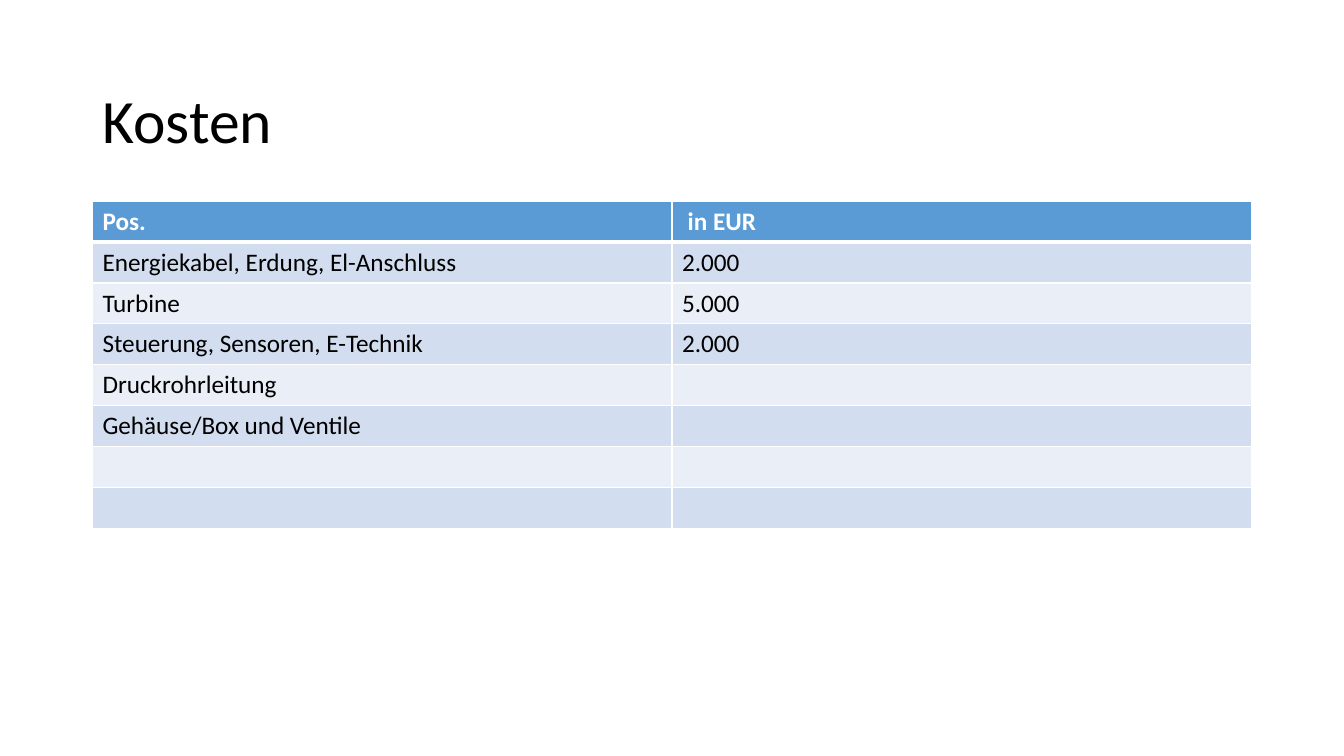
from lxml import etree
from pptx import Presentation
from pptx.dml.color import RGBColor
from pptx.enum.text import MSO_ANCHOR
from pptx.oxml.ns import qn
from pptx.util import Cm, Pt

MIDDLE = MSO_ANCHOR.MIDDLE
TOP = MSO_ANCHOR.TOP

TITLE = "Kosten"
ROWS = [
    ("Pos.", " in EUR"),
    ("Energiekabel, Erdung, El-Anschluss", "2.000"),
    ("Turbine", "5.000"),
    ("Steuerung, Sensoren, E-Technik", "2.000"),
    ("Druckrohrleitung", ""),
    ("Gehäuse/Box und Ventile", ""),
    ("", ""),
    ("", ""),
]
THEME = {
    "font": "Calibri",
    "title": 44,
    "body": 18,
    "ink": "000000",
    "white": "FFFFFF",
    "head": "5B9BD5",
    "bands": ("EAEFF7", "D2DEEF"),
    "thin": 1,
    "thick": 3,
}
LEFT, WIDTH = 2.33, 29.21
TITLE_TOP, TITLE_H = 1.27, 3.68
GRID_TOP, ROW_H = 5.07, 1.03


def write(frame, text, size=THEME["body"], color=THEME["ink"], bold=False, space=1.0):
    para = frame.paragraphs[0]
    para.line_spacing = space
    para.font.size = Pt(size)
    if text:
        run = para.add_run()
        run.text = text
        font = run.font
        font.name = THEME["font"]
        font.size = Pt(size)
        font.bold = bold
        font.color.rgb = RGBColor.from_string(color)


def edge(cell, side, width):
    props = cell._tc.get_or_add_tcPr()
    line = etree.SubElement(props, qn("a:ln" + side), w=str(Pt(width)))
    fill = etree.SubElement(line, qn("a:solidFill"))
    etree.SubElement(fill, qn("a:srgbClr"), val=THEME["white"])


def add_title(slide):
    box = slide.shapes.add_textbox(Cm(LEFT), Cm(TITLE_TOP), Cm(WIDTH), Cm(TITLE_H))
    frame = box.text_frame
    frame.word_wrap = True
    frame.vertical_anchor = MIDDLE
    write(frame, TITLE, size=THEME["title"], space=0.9)


def add_costs(slide):
    count, cols = len(ROWS), len(ROWS[0])
    table = slide.shapes.add_table(
        count, cols, Cm(LEFT), Cm(GRID_TOP), Cm(WIDTH), Cm(ROW_H * count)
    ).table
    for r, row in enumerate(ROWS):
        head = r == 0
        for c, text in enumerate(row):
            cell = table.cell(r, c)
            cell.vertical_anchor = TOP
            for side in "LRTB":
                thick = (side == "B" and head) or (side == "T" and r == 1)
                edge(cell, side, THEME["thick" if thick else "thin"])
            cell.fill.solid()
            shade = THEME["head"] if head else THEME["bands"][r % 2]
            cell.fill.fore_color.rgb = RGBColor.from_string(shade)
            color = THEME["white" if head else "ink"]
            write(cell.text_frame, text, color=color, bold=head)


def main():
    deck = Presentation()
    deck.slide_width, deck.slide_height = Cm(33.87), Cm(19.05)
    slide = deck.slides.add_slide(deck.slide_layouts[6])
    add_title(slide)
    add_costs(slide)
    deck.save("out.pptx")


if __name__ == "__main__":
    main()
